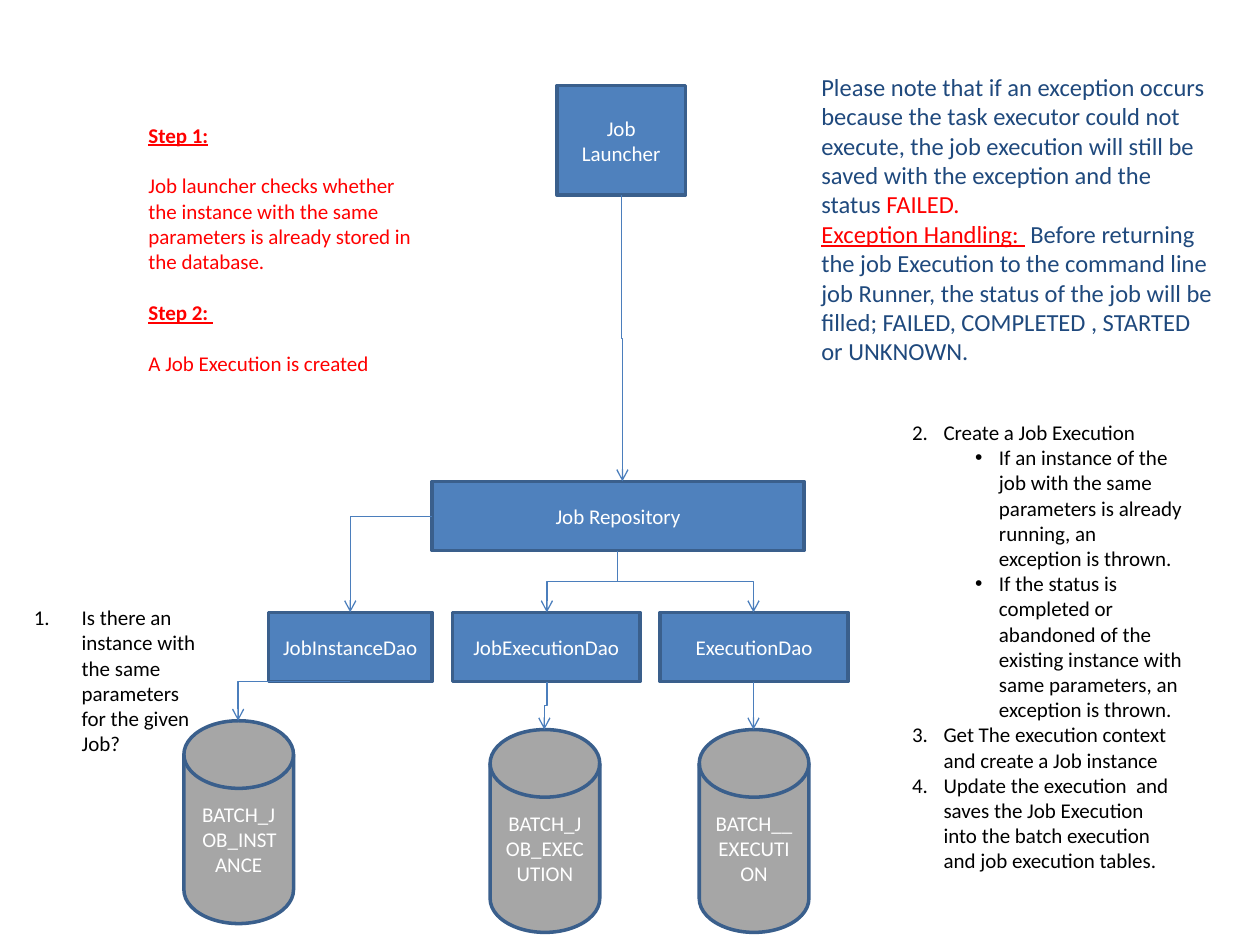
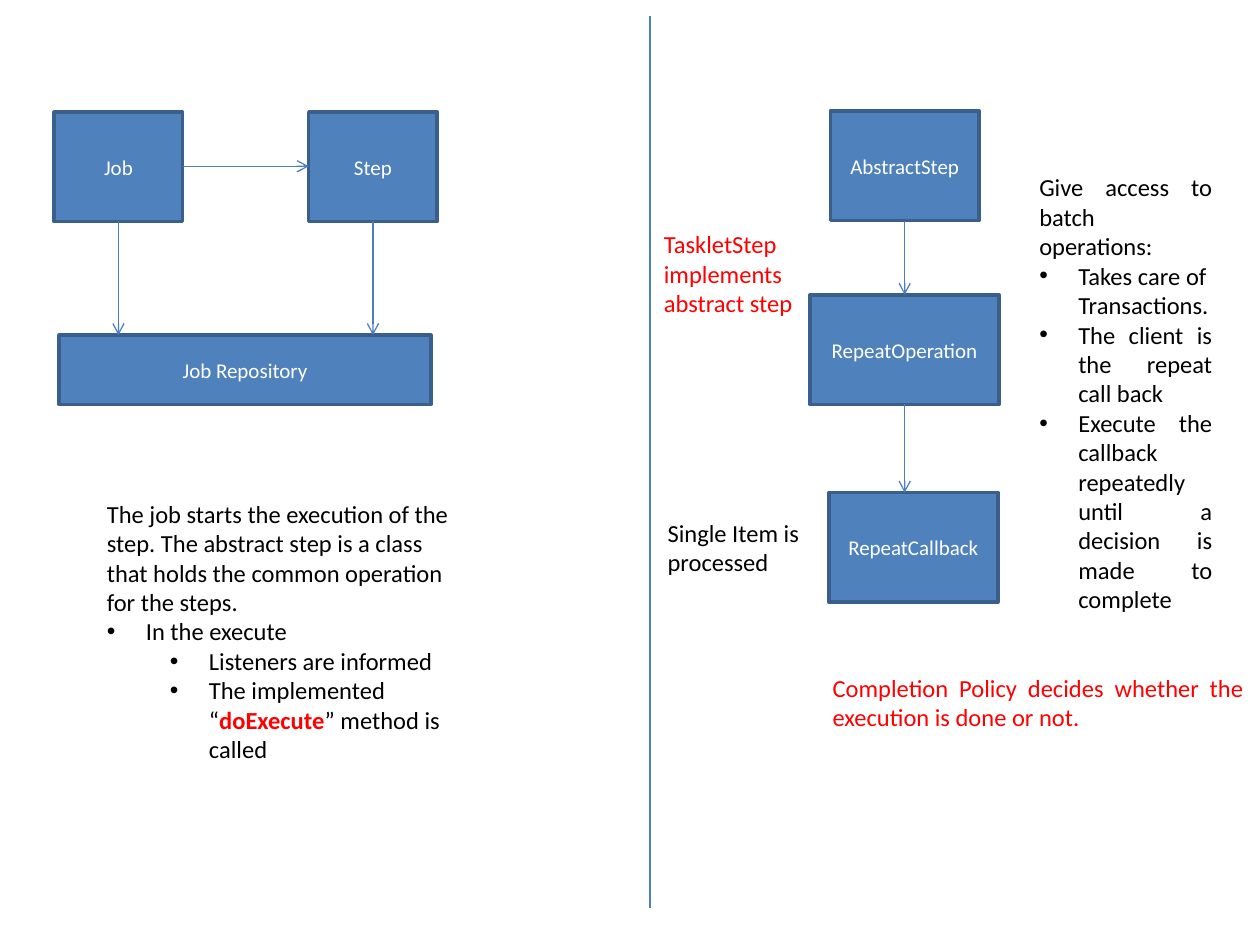
from lxml.etree import SubElement
from pptx import Presentation
from pptx.dml.color import RGBColor
from pptx.enum.shapes import MSO_CONNECTOR, MSO_SHAPE
from pptx.enum.text import MSO_ANCHOR, PP_ALIGN
from pptx.oxml.ns import qn
from pptx.util import Inches, Pt

FONT = "Calibri"
COLORS = {
    "box": "4F81BD", "outline": "3A5F8C", "store": "A6A6A6", "line": "4B7EBC",
    "white": "FFFFFF", "black": "000000", "red": "FF0000", "navy": "1F497D",
}
LIST_STYLES = {
    "question": (0, 0.38, 0.38, 1),
    "second": (0, 0.25, 0.25, 2),
    "third": (0, 0.25, 0.25, 3),
    "condition": (1, 0.69, 0.19, None),
    "bullet": (0, 0.31, 0.31, None),
    "sub-bullet": (1, 0.81, 0.31, None),
}
BOX_HEIGHT = 0.87
BAR_HEIGHT = 0.55
REPOSITORY_WIDTH = 2.95

dao_top = 4.86
dao_bottom = dao_top + BAR_HEIGHT
repository_top = 3.82
repository_bottom = repository_top + BAR_HEIGHT
launcher_center = 4.94
repository_center = 4.9
instance_center, execution_center, context_center = 2.78, 4.34, 5.98

launcher_slide = {
    "boxes": [
        ("Job Launcher", 4.42, 0.68, 1.02, BOX_HEIGHT),
        ("Job Repository", 3.43, repository_top, REPOSITORY_WIDTH, BAR_HEIGHT),
        ("JobInstanceDao", 2.13, dao_top, 1.3, BAR_HEIGHT),
        ("JobExecutionDao", 3.59, dao_top, 1.49, BAR_HEIGHT),
        ("ExecutionDao", 5.24, dao_top, 1.49, BAR_HEIGHT),
    ],
    "stores": [
        ("BATCH_JOB_INSTANCE", 1.46, 5.72),
        ("BATCH_JOB_EXECUTION", 3.89, 5.79),
        ("BATCH__EXECUTION", 5.55, 5.79),
    ],
    "lines": [
        ("down elbow", launcher_center - 0.01, 1.55, launcher_center, repository_top),
        ("corner", 3.43, 4.1, instance_center, dao_top),
        ("corner", instance_center, dao_bottom, 1.89, 5.72),
        ("down elbow", repository_center, repository_bottom, execution_center, dao_top),
        ("down elbow", repository_center, repository_bottom, context_center, dao_top),
        ("down elbow", execution_center, dao_bottom, execution_center - 0.02, 5.79),
        ("arrow", context_center, dao_bottom, context_center, 5.79),
    ],
    "texts": [
        (0.17, 4.75, 1.57, 1.31, 12, PP_ALIGN.LEFT, [
            ("question", [("Is there an instance with the same parameters for the given Job?", "black", "")]),
        ]),
        (1.08, 0.92, 2.34, 1.31, 12, PP_ALIGN.LEFT, [
            ("heading", [("Step 1:", "red", "bold underline")]),
            ("plain", [("Job launcher checks whether the instance with the same parameters "
                        "is already stored in the database.", "red", "")]),
        ]),
        (1.08, 2.33, 2.34, 0.71, 12, PP_ALIGN.LEFT, [
            ("heading", [("Step 2: ", "red", "bold underline")]),
            ("plain", [("A Job Execution is created", "red", "")]),
        ]),
        (7.14, 3.28, 2.34, 3.94, 12, PP_ALIGN.LEFT, [
            ("second", [("Create a Job Execution", "black", "")]),
            ("condition", [("If an instance of the job with the same parameters is already "
                            "running, an exception is thrown.", "black", "")]),
            ("condition", [("If the status is  completed or abandoned of the existing instance "
                            "with same parameters, an exception is thrown.", "black", "")]),
            ("third", [("Get The execution context and create a Job instance", "black", "")]),
            ("third", [("Update the execution  and saves the Job Execution into the batch "
                        "execution  and job execution tables.", "black", "")]),
        ]),
        (6.42, 0.52, 3.31, 2.46, 14, PP_ALIGN.LEFT, [
            ("plain", [("Please note that if an exception occurs because the task executor could "
                        "not execute, the job execution will still be saved with the exception "
                        "and the status ", "navy", ""),
                       ("FAILED.", "red", "")]),
            ("plain", [("Exception Handling: ", "red", "underline"),
                       (" ", "red", ""),
                       ("Before returning the job Execution to the command line job Runner, the "
                        "status of the job will be filled; FAILED, COMPLETED , STARTED or "
                        "UNKNOWN.", "navy", "")]),
        ]),
    ],
}

job_center, step_center, repeat_center = 0.94, 2.96, 7.18
step_slide = {
    "boxes": [
        ("Job", 0.43, 0.89, 1.02, BOX_HEIGHT),
        ("Step", 2.45, 0.89, 1.02, BOX_HEIGHT),
        ("Job Repository", 0.47, 2.66, REPOSITORY_WIDTH, BAR_HEIGHT),
        ("AbstractStep", 6.59, 0.88, 1.18, BOX_HEIGHT),
        ("RepeatOperation", 6.43, 2.34, 1.5, BOX_HEIGHT),
        ("RepeatCallback", 6.58, 3.91, 1.34, BOX_HEIGHT),
    ],
    "stores": [],
    "lines": [
        ("divider", 5.16, 0.13, 5.16, 7.21),
        ("arrow", repeat_center, 1.75, repeat_center, 2.34),
        ("arrow", repeat_center, 3.21, repeat_center, 3.91),
        ("arrow", 1.45, 1.32, 2.45, 1.32),
        ("arrow", step_center, 1.75, step_center, 2.66),
        ("arrow", job_center, 1.75, job_center, 2.66),
    ],
    "texts": [
        (5.2, 4.06, 1.57, 0.57, 14, PP_ALIGN.LEFT, [
            ("plain", [("Single Item is processed", "black", "")]),
        ]),
        (8.15, 1.32, 1.57, 3.87, 14, PP_ALIGN.JUSTIFY, [
            ("plain", [("Give access to batch operations:", "black", "")]),
            ("bullet", [("Takes care of  Transactions.", "black", "")]),
            ("bullet", [("The client is the repeat call back", "black", "")]),
            ("bullet", [("Execute the callback repeatedly until a decision is made to complete",
                         "black", "")]),
        ]),
        (6.51, 5.29, 3.46, 0.57, 14, PP_ALIGN.JUSTIFY, [
            ("plain", [("Completion Policy decides whether the execution is done or not.", "red", "")]),
        ]),
        (0.75, 3.91, 3.07, 2.46, 14, PP_ALIGN.LEFT, [
            ("plain", [("The job starts the execution of the step. The abstract step is a class "
                        "that holds the common operation for the steps.", "black", "")]),
            ("bullet", [("In the execute", "black", "")]),
            ("sub-bullet", [("Listeners are informed", "black", "")]),
            ("sub-bullet", [("The implemented “", "black", ""),
                            ("doExecute", "red", "bold"),
                            ("” method is called", "black", "")]),
        ]),
        (5.17, 1.77, 1.57, 0.81, 14, PP_ALIGN.LEFT, [
            ("plain", [("TaskletStep implements abstract step", "red", "")]),
        ]),
    ],
}


def add_run(paragraph, text, size, color, style=""):
    run = paragraph.add_run()
    run.text = text
    run.font.name = FONT
    run.font.size = Pt(size)
    run.font.color.rgb = RGBColor.from_string(COLORS[color])
    run.font.bold = "bold" in style
    run.font.underline = "underline" in style


def add_block(slide, preset, text, left, top, width, height, fill):
    shape = slide.shapes.add_shape(preset, Inches(left), Inches(top), Inches(width), Inches(height))
    shape.shadow.inherit = False
    shape.fill.solid()
    shape.fill.fore_color.rgb = RGBColor.from_string(COLORS[fill])
    shape.line.color.rgb = RGBColor.from_string(COLORS["outline"])
    shape.line.width = Pt(2)
    frame = shape.text_frame
    frame.word_wrap = True
    frame.vertical_anchor = MSO_ANCHOR.MIDDLE
    frame.paragraphs[0].alignment = PP_ALIGN.CENTER
    add_run(frame.paragraphs[0], text, 12, "white")


presentation = Presentation()
presentation.slide_width = Inches(10)
presentation.slide_height = Inches(7.5)
blank_layout = presentation.slide_layouts[6]

for content in (launcher_slide, step_slide):
    slide = presentation.slides.add_slide(blank_layout)

    for text, left, top, width, height in content["boxes"]:
        add_block(slide, MSO_SHAPE.RECTANGLE, text, left, top, width, height, "box")
    for text, left, top in content["stores"]:
        add_block(slide, MSO_SHAPE.FLOWCHART_MAGNETIC_DISK, text, left, top, 0.87, 1.61, "store")

    for kind, x1, y1, x2, y2 in content["lines"]:
        straight = kind in ("arrow", "divider")
        if kind == "down elbow":
            middle_x, middle_y = (x1 + x2) / 2, (y1 + y2) / 2
            half_run, half_drop = (x2 - x1) / 2, (y2 - y1) / 2
            x1, x2 = middle_x - half_drop, middle_x + half_drop
            y1, y2 = middle_y + half_run, middle_y - half_run
        connector = slide.shapes.add_connector(
            MSO_CONNECTOR.STRAIGHT if straight else MSO_CONNECTOR.ELBOW,
            Inches(x1), Inches(y1), Inches(x2), Inches(y2))
        connector.line.color.rgb = RGBColor.from_string(COLORS["line"])
        connector.line.width = Pt(0.75)
        properties = connector._element.spPr
        if kind == "down elbow":
            properties.find(qn("a:xfrm")).set("rot", "5400000")
        if kind == "corner":
            properties.find(qn("a:prstGeom")).set("prst", "bentConnector2")
        if kind != "divider":
            SubElement(properties.find(qn("a:ln")), qn("a:tailEnd"), type="arrow")
        SubElement(properties, qn("a:effectLst"))

    for left, top, width, height, size, alignment, paragraphs in content["texts"]:
        box = slide.shapes.add_textbox(Inches(left), Inches(top), Inches(width), Inches(height))
        frame = box.text_frame
        frame.word_wrap = True
        for index, (style, runs) in enumerate(paragraphs):
            paragraph = frame.add_paragraph() if index else frame.paragraphs[0]
            paragraph.alignment = alignment
            if style == "heading":
                paragraph.space_after = Pt(14.6)
            if style in LIST_STYLES:
                level, indent, hanging, start = LIST_STYLES[style]
                paragraph.level = level
                properties = paragraph._p.get_or_add_pPr()
                properties.set("marL", str(Inches(indent)))
                properties.set("indent", str(-Inches(hanging)))
                if start:
                    SubElement(properties, qn("a:buAutoNum"), type="arabicPeriod", startAt=str(start))
                else:
                    SubElement(properties, qn("a:buFont"), typeface="Arial")
                    SubElement(properties, qn("a:buChar"), char="•")
            for text, color, run_style in runs:
                add_run(paragraph, text, size, color, run_style)

presentation.save("out.pptx")
